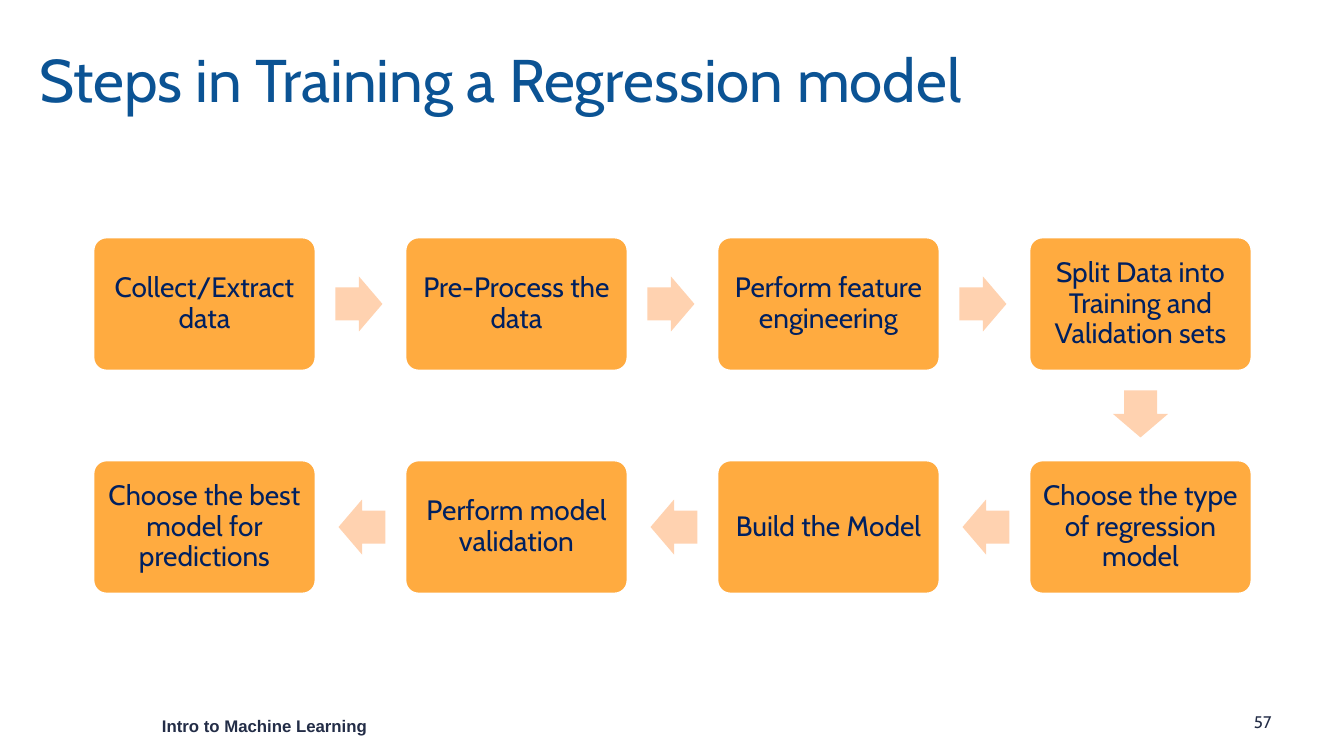
from pptx import Presentation, util as u
from pptx.dml.color import RGBColor
from pptx.enum import shapes, text

# Content
TITLE = "Steps in Training a Regression model"
FOOTER = "Intro to Machine Learning"
PAGE = "57"
STEPS = [
    "Collect/Extract data",
    "Pre-Process the data",
    "Perform feature engineering",
    "Split Data into Training and Validation sets",
    "Choose the type of regression model",
    "Build the Model",
    "Perform model validation",
    "Choose the best model for predictions",
]

# Colours
BLUE = RGBColor(0x0B, 0x53, 0x94)
NAVY = RGBColor(0x00, 0x20, 0x60)
SLATE = RGBColor(0x23, 0x2D, 0x47)
ORANGE = RGBColor(0xFF, 0xAB, 0x40)
PEACH = RGBColor(0xFF, 0xD2, 0xB0)
WHITE = RGBColor(0xFF, 0xFF, 0xFF)

# Layout in pixels
COLS = 4
LEFT, TOP = 93, 237
BOX_W, BOX_H = 223, 134
PITCH_X, PITCH_Y = 312, 223
ARROW_W, ARROW_H = 47, 55
ARROW_SHIFT = 1.5  # arrows sit slightly nearer the step they leave


def px(n):
    return u.Emu(round(n * 914400 / 100.8))


def write(sp, words, size, color, font="Cabin", bold=False, inset=(10, 5),
          align=text.PP_ALIGN.LEFT, anchor=text.MSO_ANCHOR.TOP, spacing=1.0):
    tf = sp.text_frame
    tf.word_wrap = True
    tf.vertical_anchor = anchor
    tf.margin_left = tf.margin_right = px(inset[0])
    tf.margin_top = tf.margin_bottom = px(inset[1])
    p = tf.paragraphs[0]
    p.text = words
    p.alignment, p.line_spacing = align, spacing
    p.font.name, p.font.size, p.font.bold = font, u.Pt(size), bold
    p.font.color.rgb = color


def add_shape(kind, center, w, h, fill):
    x, y = center
    sp = s.shapes.add_shape(kind, px(x - w / 2), px(y - h / 2), px(w), px(h))
    sp.shadow.inherit = False
    sp.fill.solid()
    sp.fill.fore_color.rgb = fill
    sp.line.fill.background()
    return sp


def step_center(i):
    """Rows run left to right, then back right to left."""
    row, col = divmod(i, COLS)
    if row % 2:
        col = COLS - 1 - col
    return LEFT + col * PITCH_X + BOX_W / 2, TOP + row * PITCH_Y + BOX_H / 2


prs = Presentation()
prs.slide_width, prs.slide_height = px(1344), px(756)
s = prs.slides.add_slide(prs.slide_layouts[6])

# Title, footer and page number
write(s.shapes.add_textbox(px(29), px(10), px(1159), px(146)), TITLE, 43, BLUE,
      anchor=text.MSO_ANCHOR.MIDDLE, spacing=0.9)
write(s.shapes.add_textbox(px(152), px(711), px(265), px(30)), FOOTER, 12, SLATE,
      font="Arial", bold=True)
write(s.shapes.add_textbox(px(1244), px(707), px(67), px(30)), PAGE, 12, SLATE)

# Step boxes, each followed by an arrow to the next
centers = [step_center(i) for i in range(len(STEPS))]
for i, (step, (x, y)) in enumerate(zip(STEPS, centers)):
    box = add_shape(shapes.MSO_SHAPE.ROUNDED_RECTANGLE, (x, y), BOX_W, BOX_H, ORANGE)
    box.adjustments[0] = 0.1
    box.line.color.rgb, box.line.width = WHITE, u.Pt(2)
    write(box, step, 20, NAVY, inset=(8, 8), align=text.PP_ALIGN.CENTER,
          anchor=text.MSO_ANCHOR.MIDDLE, spacing=0.9)
    if i + 1 == len(STEPS):
        break
    next_x, next_y = centers[i + 1]
    dx = (next_x > x) - (next_x < x)
    dy = (next_y > y) - (next_y < y)
    middle = ((x + next_x) / 2 - dx * ARROW_SHIFT, (y + next_y) / 2 - dy * ARROW_SHIFT)
    arrow = add_shape(shapes.MSO_SHAPE.RIGHT_ARROW, middle, ARROW_W, ARROW_H, PEACH)
    arrow.adjustments[0], arrow.adjustments[1] = 0.6, 0.5
    arrow.rotation = {(1, 0): 0, (0, 1): 90, (-1, 0): 180}[dx, dy]

prs.save("out.pptx")
